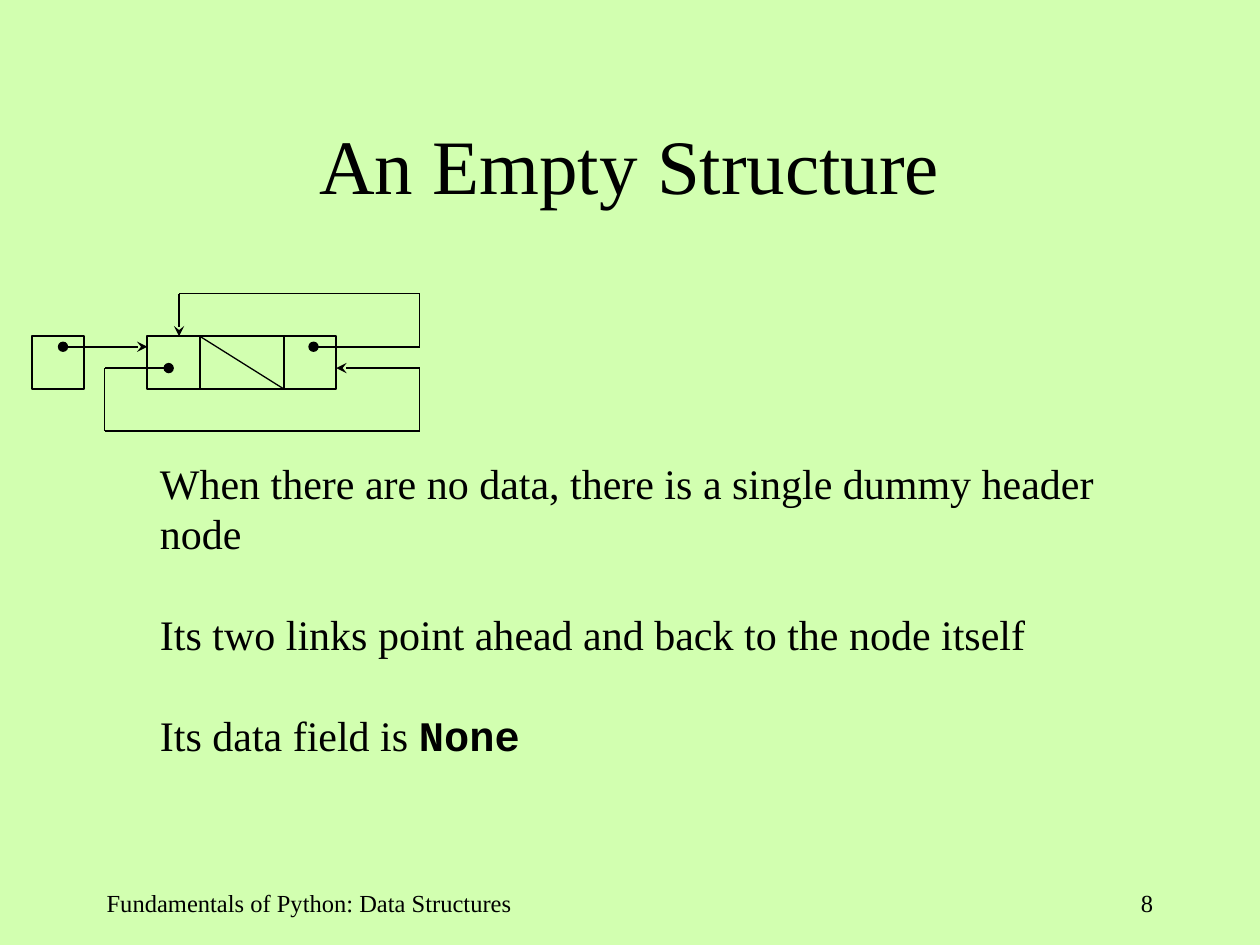
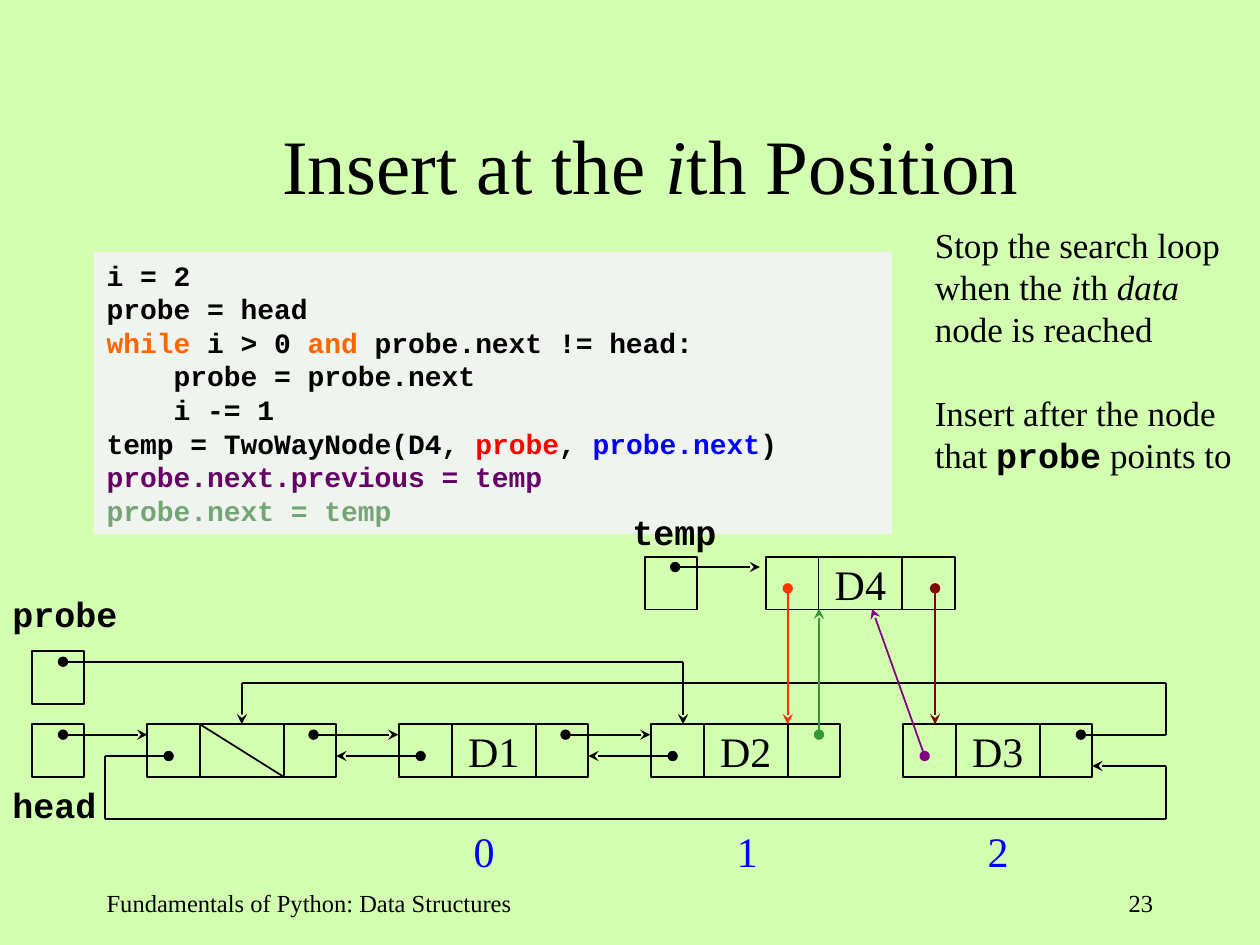
import lxml.etree
import pptx
import pptx.dml.color
import pptx.enum.shapes
import pptx.enum.text
import pptx.oxml.ns
import pptx.util

Cm, Pt = pptx.util.Cm, pptx.util.Pt
ALIGN = pptx.enum.text.PP_ALIGN
ANCHOR = pptx.enum.text.MSO_ANCHOR
qn = pptx.oxml.ns.qn

SERIF, MONO = "Times New Roman", "Courier New"
BACKGROUND, PANEL = "D2FFB0", "EFF4EF"
BLACK, BLUE, ORANGE, RED = "000000", "0000FF", "FF6600", "FF0000"
PLUM, SAGE = "660066", "74A574"
SCARLET, GREEN, PURPLE, MAROON = "FF3300", "339933", "800080", "800000"

# Node geometry in cm: link cell, data cell, link cell
LINK, DATA = 1.06, 1.69
NODE_CELLS = [(0, LINK), (LINK, DATA), (LINK + DATA, LINK)]
HEADER_X, NODE_PITCH = 2.97, 5.08
EMPTY_Y, LIST_Y, NEW_Y = 6.78, 14.6, 11.23


def colour(hex_code):
    return pptx.dml.color.RGBColor.from_string(hex_code)


def write(frame, paragraphs, align=ALIGN.LEFT, anchor=ANCHOR.TOP, wrap=True, gap=0, **base):
    """Fill a frame; each paragraph is a list of (text, format overrides)."""
    frame.auto_size = pptx.enum.text.MSO_AUTO_SIZE.NONE
    frame.word_wrap = wrap
    frame.vertical_anchor = anchor
    for number, runs in enumerate(paragraphs):
        paragraph = frame.add_paragraph() if number else frame.paragraphs[0]
        properties = paragraph._p.get_or_add_pPr()
        properties.set("marL", "0")
        properties.set("indent", "0")
        lxml.etree.SubElement(properties, qn("a:buNone"))
        paragraph.alignment = align
        paragraph.line_spacing = 1.0
        paragraph.space_before = Pt(gap if number else 0)
        for text, overrides in runs:
            run = paragraph.add_run()
            run.text = text
            style = {"name": SERIF, "size": 24, "bold": False, "italic": False,
                     "ink": BLACK, **base, **overrides}
            run.font.color.rgb = colour(style.pop("ink"))
            style["size"] = Pt(style["size"])
            for attribute, value in style.items():
                setattr(run.font, attribute, value)


ITALIC, CODE = {"italic": True}, {"name": MONO, "bold": True}

# Routes: points, start mark, end mark, colour, line width
empty_routes = [
    ([(6.32, 6.99), (8.46, 6.99)], "oval", None, BLACK, 1),
    ([(8.46, 6.99), (8.46, 5.92), (3.61, 5.92), (3.61, 6.78)], None, "stealth", BLACK, 0.75),
    ([(1.27, 6.99), (2.97, 6.99)], "oval", "stealth", BLACK, 1),
    ([(6.78, 7.42), (8.46, 7.42)], "stealth", None, BLACK, 1),
    ([(4.03, EMPTY_Y), (5.72, EMPTY_Y + LINK)], None, None, BLACK, 0.75),
    ([(3.4, 7.42), (2.11, 7.42)], "oval", None, BLACK, 1),
    ([(2.11, 7.42), (2.11, 8.69), (8.46, 8.69), (8.46, 7.42)], None, None, BLACK, 0.75),
]

insert_routes = [
    ([(1.27, 14.81), (2.97, 14.81)], "oval", "stealth", BLACK, 1),
    ([(4.03, LIST_Y), (5.72, LIST_Y + LINK)], None, None, BLACK, 1),
    ([(21.79, 14.81), (23.5, 14.81), (23.5, 13.77), (4.88, 13.77), (4.88, LIST_Y)],
     "oval", "stealth", BLACK, 1),
    ([(3.4, 15.24), (2.11, 15.24), (2.11, 16.51), (23.5, 16.51), (23.5, 15.44), (22.02, 15.44)],
     "oval", "stealth", BLACK, 1),
    ([(1.27, 13.34), (13.77, 13.34), (13.77, LIST_Y)], "oval", "stealth", BLACK, 1),
    ([(13.61, 11.43), (15.32, 11.43)], "oval", "stealth", BLACK, 1),
    ([(15.88, 11.86), (15.88, LIST_Y)], "oval", "stealth", SCARLET, 1),
    ([(16.51, 14.81), (16.51, 12.27)], "oval", "stealth", GREEN, 1),
    ([(18.64, 15.24), (17.58, 12.27)], "oval", "stealth", PURPLE, 1),
    ([(18.85, 11.86), (18.85, LIST_Y)], "oval", "stealth", MAROON, 1),
]
for step in range(2):  # next and previous links between neighbours
    shift = step * NODE_PITCH
    insert_routes += [
        ([(6.32 + shift, 14.81), (8.03 + shift, 14.81)], "oval", "stealth", BLACK, 1),
        ([(8.48 + shift, 15.24), (6.78 + shift, 15.24)], "oval", "stealth", BLACK, 1),
    ]

list_nodes = [(HEADER_X + place * NODE_PITCH, LIST_Y, datum)
              for place, datum in enumerate(["", "D1", "D2", "D3"])]

lessons = [
    {
        "title": [("An Empty Structure", {})], "title_width": 21.59, "page": "8",
        "body_at": (2.97, 9.09, 21.16, 6.35), "body_size": 24,
        "body": [
            [("When there are no data, there is a single dummy header node", {})],
            [("Its two links point ahead and back to the node itself", {})],
            [("Its data field is ", {}), ("None", CODE)],
        ],
        "pointers": [(0.64, EMPTY_Y)],
        "nodes": [(HEADER_X, EMPTY_Y, "")],
        "routes": empty_routes,
    },
    {
        "title": [("Insert at the ", {}), ("i", ITALIC), ("th Position", {})],
        "title_width": 22.43, "page": "23",
        "body_at": (18.59, 4.37, 6.81, 5.33), "body_size": 20,
        "body": [
            [("Stop the search loop when the ", {}), ("i", ITALIC), ("th ", {}),
             ("data", ITALIC), (" node is reached", {})],
            [("Insert after the node that ", {}), ("probe", CODE), (" points to", {})],
        ],
        "pointers": [(0.64, LIST_Y), (0.64, 13.13), (13.0, NEW_Y)],
        "nodes": list_nodes + [(15.44, NEW_Y, "D4")],
        "routes": insert_routes,
    },
]

deck = pptx.Presentation()
deck.slide_width, deck.slide_height = Cm(25.4), Cm(19.05)
deck.slide_master.background.fill.solid()
deck.slide_master.background.fill.fore_color.rgb = colour(BACKGROUND)

for lesson in lessons:
    slide = deck.slides.add_slide(deck.slide_layouts[1])

    # Title and explanation
    title, body = slide.shapes.title, slide.placeholders[1]
    places = [(title, (1.9, 1.7, lesson["title_width"], 3.18)), (body, lesson["body_at"])]
    for holder, place in places:
        holder.left, holder.top, holder.width, holder.height = map(Cm, place)
    write(title.text_frame, [lesson["title"]], ALIGN.CENTER, ANCHOR.MIDDLE, size=44)
    size = lesson["body_size"]
    write(body.text_frame, lesson["body"], gap=1.2 * size, size=size)

    # Pointer variables and node cells
    cells = [(x, y, LINK, "") for x, y in lesson["pointers"]]
    for x, y, datum in lesson["nodes"]:
        cells += [(x + offset, y, width, datum if width == DATA else "")
                  for offset, width in NODE_CELLS]
    drawn_cells = []
    for x, y, width, datum in cells:
        cell = slide.shapes.add_shape(pptx.enum.shapes.MSO_SHAPE.RECTANGLE,
                                      Cm(x), Cm(y), Cm(width), Cm(LINK))
        cell.shadow.inherit = False
        cell.fill.background()
        cell.line.color.rgb = colour(BLACK)
        cell.line.width = Pt(1)
        if datum:
            write(cell.text_frame, [[(datum, {})]], ALIGN.CENTER, ANCHOR.MIDDLE, wrap=False)
        drawn_cells.append(cell)

    # Links, one connector for each leg of a route
    for points, start_mark, end_mark, ink, weight in lesson["routes"]:
        last = len(points) - 2
        for leg, (start, end) in enumerate(zip(points, points[1:])):
            link = slide.shapes.add_connector(pptx.enum.shapes.MSO_CONNECTOR.STRAIGHT,
                                              *map(Cm, start + end))
            for cell in drawn_cells:
                off_centre = abs(cell.left + cell.width / 2 - Cm(end[0]))
                if max(off_centre, abs(cell.top - Cm(end[1]))) < Cm(0.02):
                    link.end_connect(cell, 0)
            link.line.color.rgb = colour(ink)
            link.line.width = Pt(weight)
            outline = link.line._get_or_add_ln()
            if leg == 0 and start_mark:
                lxml.etree.SubElement(outline, qn("a:headEnd"), type=start_mark)
            if leg == last and end_mark:
                lxml.etree.SubElement(outline, qn("a:tailEnd"), type=end_mark)
            lxml.etree.SubElement(link._element.spPr, qn("a:effectLst"))

    # Footer
    for x, width, text, align in [
        (1.9, 9.1, "Fundamentals of Python: Data Structures", ALIGN.LEFT),
        (18.2, 5.3, lesson["page"], ALIGN.RIGHT),
    ]:
        footer = slide.shapes.add_textbox(Cm(x), Cm(17.78), Cm(width), Cm(1.27))
        write(footer.text_frame, [[(text, {})]], align, size=14)

# Code panel on the insertion slide
code_lines = [
    [("i = 2", {})],
    [("probe = head", {})],
    [("while", {"ink": ORANGE}), (" i > 0 ", {}), ("and", {"ink": ORANGE}),
     (" probe.next != head:", {})],
    [("    probe = probe.next", {})],
    [("    i -= 1", {})],
    [("temp = TwoWayNode(D4, ", {}), ("probe", {"ink": RED}), (", ", {}),
     ("probe.next", {"ink": BLUE}), (")", {})],
    [("probe.next.previous = temp", {"ink": PLUM})],
    [("probe.next = temp", {"ink": SAGE})],
]
panel = slide.shapes.add_shape(pptx.enum.shapes.MSO_SHAPE.RECTANGLE,
                               Cm(1.9), Cm(5.08), Cm(16.08), Cm(5.69))
panel.shadow.inherit = False
panel.fill.solid()
panel.fill.fore_color.rgb = colour(PANEL)
panel.line.fill.background()
write(panel.text_frame, code_lines, size=16, **CODE)

# Pointer names
for name, x, y in [("head", 0, 15.66), ("probe", 0, 11.81), ("temp", 12.5, 10.16)]:
    label = slide.shapes.add_textbox(Cm(x), Cm(y), Cm(2.74), Cm(1.12))
    write(label.text_frame, [[(name, {})]], wrap=False, size=20, **CODE)

# Positions below the data nodes
for position, centre in enumerate([9.76, 15.06, 20.12]):
    label = slide.shapes.add_textbox(Cm(centre - 0.75), Cm(16.51), Cm(1.5), Cm(1.27))
    write(label.text_frame, [[(str(position), {})]], ALIGN.CENTER, ink=BLUE)

deck.save("out.pptx")
